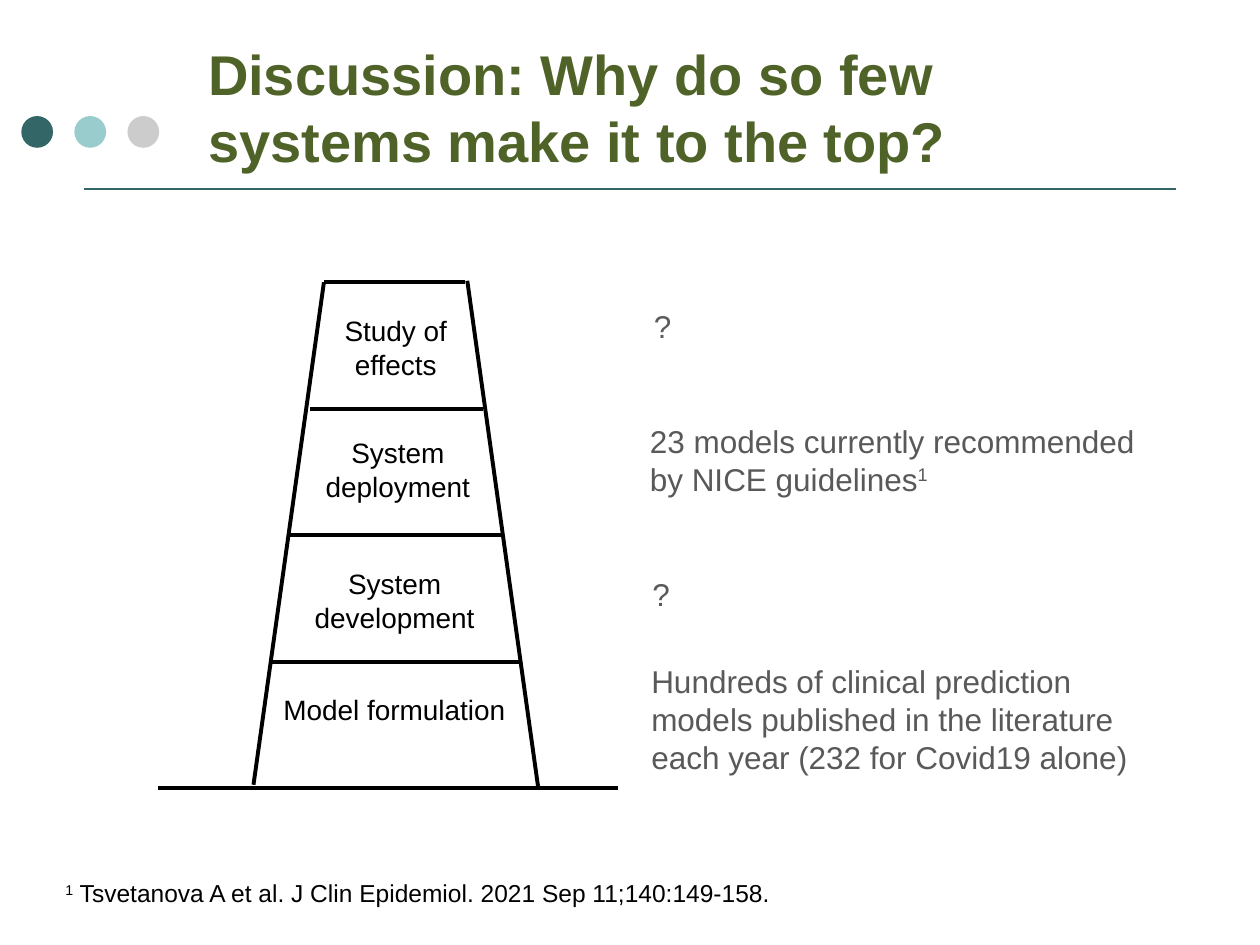
import pptx
import pptx.dml.color
import pptx.enum.shapes
import pptx.enum.text
import pptx.oxml.ns
import pptx.util
from lxml import etree

Cm = pptx.util.Cm
Pt = pptx.util.Pt
ALIGN = pptx.enum.text.PP_ALIGN

COLORS = {
    "title": "4F6228",
    "teal": "336666",
    "aqua": "99CCCC",
    "silver": "CCCCCC",
    "ink": "000000",
    "note": "595959",
    "soft_note": "5C5C5C",
}


class SlideBuilder:
    font_name = "Arial"

    def __init__(self, slide):
        self.slide = slide

    def color(self, name):
        return pptx.dml.color.RGBColor.from_string(COLORS[name])

    def style(self, paragraph, size, color, align=ALIGN.LEFT, bold=False):
        paragraph.alignment = align
        paragraph.font.name = self.font_name
        paragraph.font.size = Pt(size)
        paragraph.font.bold = bold
        paragraph.font.color.rgb = self.color(color)

    def title(self, wording, left, top, width, height):
        title = self.slide.shapes.title
        title.left, title.top = Cm(left), Cm(top)
        title.width, title.height = Cm(width), Cm(height)
        frame = title.text_frame
        frame.text = wording
        frame.word_wrap = True
        frame.auto_size = pptx.enum.text.MSO_AUTO_SIZE.NONE
        frame.vertical_anchor = pptx.enum.text.MSO_ANCHOR.TOP
        self.style(frame.paragraphs[0], 32, "title", bold=True)

    def text(self, wording, left, top, width, height, size, color, align=ALIGN.LEFT):
        box = self.slide.shapes.add_textbox(Cm(left), Cm(top), Cm(width), Cm(height))
        frame = box.text_frame
        frame.word_wrap = True
        for row, line in enumerate(wording.split("\n")):
            paragraph = frame.add_paragraph() if row else frame.paragraphs[0]
            self.style(paragraph, size, color, align)
            for index, part in enumerate(line.split("^")):
                if part:
                    run = paragraph.add_run()
                    run.text = part
                    if index % 2:
                        run._r.get_or_add_rPr().set("baseline", "30000")

    def line(self, x1, y1, x2, y2, color="ink", weight=2.25):
        line = self.slide.shapes.add_connector(
            pptx.enum.shapes.MSO_CONNECTOR.STRAIGHT, Cm(x1), Cm(y1), Cm(x2), Cm(y2))
        line.line.color.rgb = self.color(color)
        line.line.width = Pt(weight)
        etree.SubElement(line._element.spPr, pptx.oxml.ns.qn("a:effectLst"))

    def dot(self, left, top, diameter, color):
        dot = self.slide.shapes.add_shape(
            pptx.enum.shapes.MSO_SHAPE.OVAL, Cm(left), Cm(top), Cm(diameter), Cm(diameter))
        dot.shadow.inherit = False
        dot.fill.solid()
        dot.fill.fore_color.rgb = self.color(color)
        dot.line.fill.background()


def main():
    deck = pptx.Presentation()
    deck.slide_width, deck.slide_height = Cm(25.4), Cm(19.05)
    builder = SlideBuilder(deck.slides.add_slide(deck.slide_layouts[5]))

    builder.title("Discussion: Why do so few systems make it to the top?", 3.94, 0.66, 17.02, 1.5)
    for index, color in enumerate(("teal", "aqua", "silver")):
        builder.dot(0.43 + 1.07 * index, 2.34, 0.64, color)
    builder.line(1.7, 3.81, 23.7, 3.81, "teal", 0.75)

    tower_top, storey = 5.69, 2.55
    rungs = [(6.53, 9.37), (6.25, 9.73), (5.84, 10.13), (5.49, 10.49), (3.18, 12.45)]
    for level, (left, right) in enumerate(rungs):
        y = tower_top + storey * level
        builder.line(left, y, right, y)
    builder.line(6.53, 5.69, 5.11, 15.82)
    builder.line(9.42, 5.66, 10.85, 15.88)

    stages = [
        ("Study of effects", 6.2, 6.2, 3.56),
        ("System deployment", 5.77, 8.66, 4.5),
        ("System\ndevelopment", 5.77, 11.3, 4.37),
        ("Model formulation", 5.31, 13.84, 5.28),
    ]
    for stage, left, top, width in stages:
        builder.text(stage, left, top, width, 1.6, 16, "ink", ALIGN.CENTER)

    evidence = [
        ("?", 12.93, 6.07, 1.02, "soft_note"),
        ("23 models currently recommended by NICE guidelines^1^", 12.85, 8.38, 1.8, "note"),
        ("?", 12.9, 11.46, 1.02, "note"),
        ("Hundreds of clinical prediction models published in the literature "
         "each year (232 for Covid19 alone)", 12.88, 13.23, 2.57, "note"),
    ]
    for finding, left, top, height, color in evidence:
        builder.text(finding, left, top, 10.82, height, 18, color)

    builder.text("^1^ Tsvetanova A et al. J Clin Epidemiol. 2021 Sep 11;140:149-158.",
                 1.07, 17.58, 17.58, 0.86, 14, "ink")
    deck.save("out.pptx")


if __name__ == "__main__":
    main()
